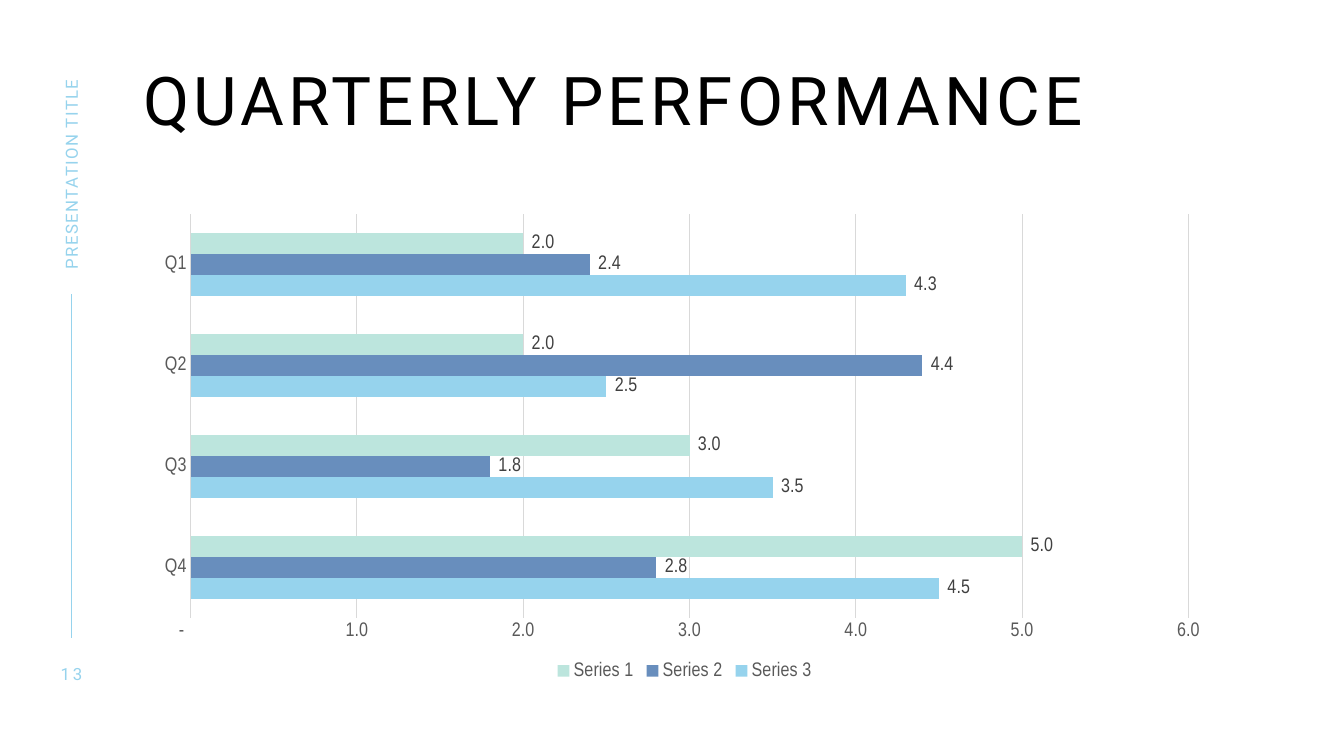
from lxml import etree
from pptx import Presentation
from pptx.chart.data import CategoryChartData
from pptx.dml.color import RGBColor
from pptx.enum.chart import XL_CHART_TYPE, XL_LABEL_POSITION, XL_LEGEND_POSITION, XL_TICK_MARK
from pptx.enum.shapes import MSO_CONNECTOR
from pptx.enum.text import MSO_ANCHOR, PP_ALIGN
from pptx.oxml.ns import qn
from pptx.util import Inches, Pt

BAR_CLUSTERED = XL_CHART_TYPE.BAR_CLUSTERED
OUTSIDE_END = XL_LABEL_POSITION.OUTSIDE_END
LEGEND_BOTTOM = XL_LEGEND_POSITION.BOTTOM
NO_TICK = XL_TICK_MARK.NONE
STRAIGHT = MSO_CONNECTOR.STRAIGHT
TOP, MIDDLE = MSO_ANCHOR.TOP, MSO_ANCHOR.MIDDLE
LEFT, CENTER = PP_ALIGN.LEFT, PP_ALIGN.CENTER

BLACK = RGBColor(0x00, 0x00, 0x00)
SKY = RGBColor(0x96, 0xD3, 0xED)
BLUE = RGBColor(0x68, 0x8E, 0xBD)
MINT = RGBColor(0xBC, 0xE5, 0xDD)
AXIS_GRAY = RGBColor(0x59, 0x59, 0x59)
LABEL_GRAY = RGBColor(0x40, 0x40, 0x40)
GRID_GRAY = RGBColor(0xD9, 0xD9, 0xD9)

ACCOUNTING = '_(* #,##0.0_);_(* \\(#,##0.0\\);_(* "-"??_);_(@_)'

QUARTERS = ["Q4", "Q3", "Q2", "Q1"]
SERIES = [
    ("Series 3", SKY, (4.5, 3.5, 2.5, 4.3)),
    ("Series 2", BLUE, (2.8, 1.8, 4.4, 2.4)),
    ("Series 1", MINT, (5, 3, 2, 2)),
]


class SlideBuilder:
    """Holds the text style and the current slide."""

    text_font = "Roboto"
    chart_font = "Arial Narrow"
    chart_size = 14

    def __init__(self, slide):
        self.slide = slide

    def text(self, box, wording, size, color, tracking, anchor=MIDDLE,
             align=LEFT, rotation=0, line_spacing=None):
        label = self.slide.shapes.add_textbox(*map(Inches, box))
        label.rotation = rotation
        frame = label.text_frame
        frame.word_wrap = True
        frame.vertical_anchor = anchor
        frame.margin_left = frame.margin_right = 0
        frame.margin_top = frame.margin_bottom = 0
        paragraph = frame.paragraphs[0]
        paragraph.alignment = align
        paragraph.line_spacing = line_spacing
        run = paragraph.add_run()
        run.text = wording
        self.style(run.font, self.text_font, size, color)
        run._r.get_or_add_rPr().set("spc", str(tracking * 100))

    def line(self, start, end, color, width):
        rule = self.slide.shapes.add_connector(
            STRAIGHT, *map(Inches, start + end))
        rule.line.color.rgb = color
        rule.line.width = Pt(width)
        etree.SubElement(rule._element.spPr, qn("a:effectLst"))

    def bar_chart(self, box, categories, series):
        data = CategoryChartData(number_format=ACCOUNTING)
        data.categories = categories
        for name, _, values in series:
            data.add_series(name, values)
        chart = self.slide.shapes.add_chart(
            BAR_CLUSTERED, *map(Inches, box), data).chart
        self.style(chart.font, "Roboto Condensed", self.chart_size, BLACK)
        chart.has_title = False

        # Bars and their values
        plot = chart.plots[0]
        plot.gap_width = 182
        plot.vary_by_categories = False
        for bars, (_, color, _) in zip(plot.series, series):
            bars.format.fill.solid()
            bars.format.fill.fore_color.rgb = color
            bars.invert_if_negative = False
            values = bars.data_labels
            values.show_value = True
            values.position = OUTSIDE_END
            self.number_format(values)
            self.chart_text(values.font, LABEL_GRAY)

        # Axes
        quarter_axis, value_axis = chart.category_axis, chart.value_axis
        for axis in (quarter_axis, value_axis):
            axis.major_tick_mark = axis.minor_tick_mark = NO_TICK
            self.chart_text(axis.tick_labels.font, AXIS_GRAY)
        self.hairline(quarter_axis.format.line)
        value_axis.minimum_scale, value_axis.maximum_scale = 0, 6
        value_axis.major_unit = 1
        value_axis.format.line.fill.background()
        self.hairline(value_axis.major_gridlines.format.line)
        self.number_format(value_axis.tick_labels)

        # Legend
        chart.has_legend = True
        chart.legend.position = LEGEND_BOTTOM
        chart.legend.include_in_layout = False
        self.chart_text(chart.legend.font, AXIS_GRAY)

    def chart_text(self, font, color):
        self.style(font, self.chart_font, self.chart_size, color)

    @staticmethod
    def style(font, name, size, color):
        font.name = name
        font.size = Pt(size)
        font.bold = False
        font.color.rgb = color

    @staticmethod
    def number_format(labels):
        labels.number_format = ACCOUNTING
        labels.number_format_is_linked = False

    @staticmethod
    def hairline(line):
        line.color.rgb = GRID_GRAY
        line.width = Pt(0.75)


def main():
    presentation = Presentation()
    presentation.slide_width = Inches(13.33)
    presentation.slide_height = Inches(7.5)
    builder = SlideBuilder(
        presentation.slides.add_slide(presentation.slide_layouts[6]))

    # Side margin
    builder.line((0.71, 2.92), (0.71, 6.33), SKY, 1)
    builder.text((-0.27, 1.59, 1.95, 0.21), "PRESENTATION TITLE", 12, SKY, 1,
                 rotation=270)
    builder.text((0.46, 6.58, 0.5, 0.2), "13", 12, SKY, 2, align=CENTER)

    # Heading
    builder.text((1.42, 0.67, 11, 1), "QUARTERLY PERFORMANCE", 48, BLACK, 3,
                 anchor=TOP, line_spacing=0.9)

    # Quarterly results
    builder.bar_chart((1.42, 2.03, 10.74, 4.76), QUARTERS, SERIES)

    presentation.save("out.pptx")


if __name__ == "__main__":
    main()
